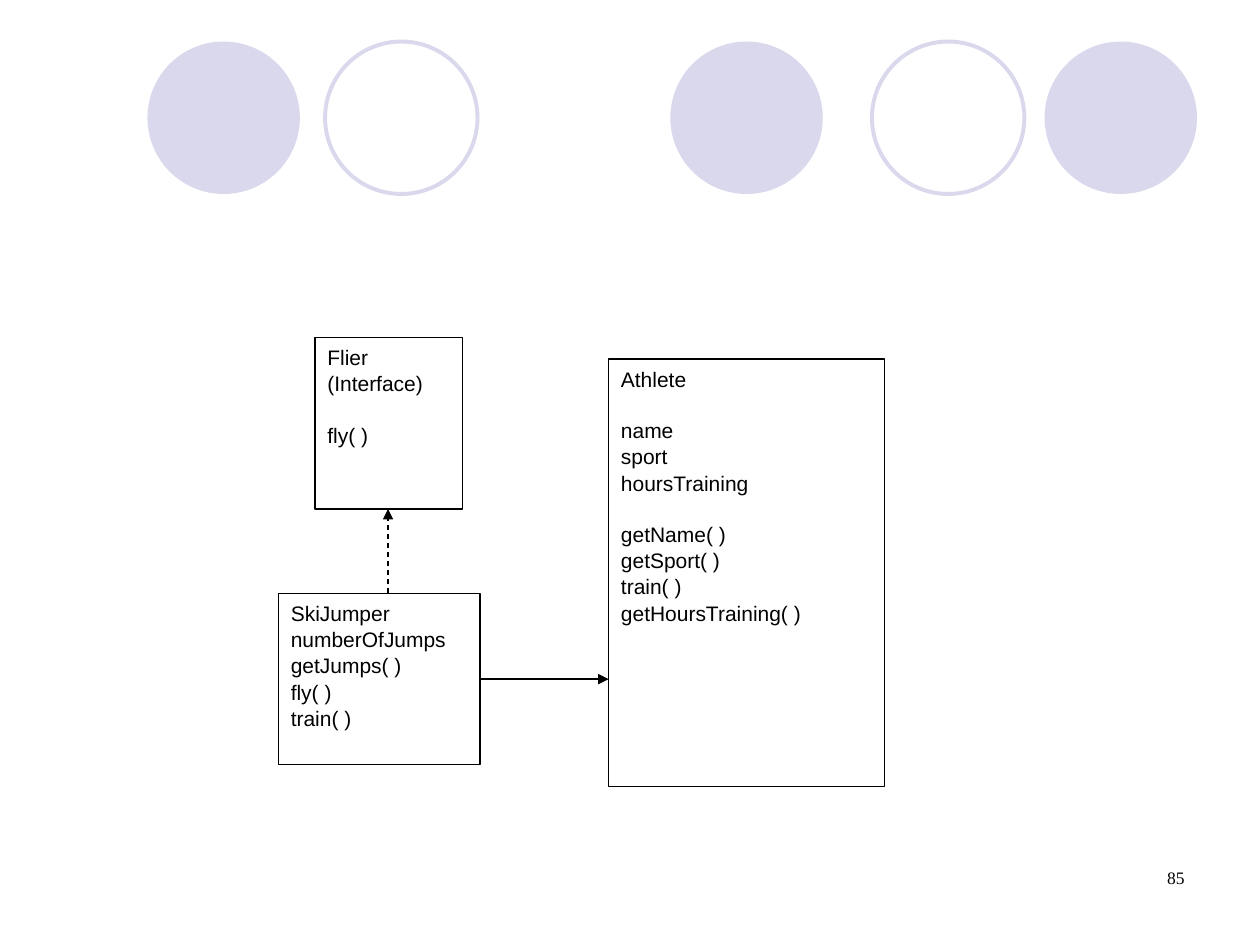
from lxml.etree import SubElement
from pptx import Presentation
from pptx.dml.color import RGBColor
from pptx.enum.dml import MSO_LINE
from pptx.enum.shapes import MSO_CONNECTOR, MSO_SHAPE
from pptx.enum.text import MSO_ANCHOR, PP_ALIGN
from pptx.oxml.ns import qn
from pptx.util import Inches, Pt

LAVENDER = "D9D8EC"
BLACK = "000000"
WHITE = "FFFFFF"


def paint(color_format, value):
    """Give a fill, line or font the colour of a hex string."""
    color_format.rgb = RGBColor.from_string(value)


def add_outline(page, preset, left, top, width, height, fill=None, line=None, weight=0.75):
    """Add a preset shape with an optional fill and line."""
    shape = page.shapes.add_shape(
        preset, Inches(left), Inches(top), Inches(width), Inches(height))
    shape.shadow.inherit = False
    if fill:
        shape.fill.solid()
        paint(shape.fill.fore_color, fill)
    else:
        shape.fill.background()
    if line:
        paint(shape.line.color, line)
        shape.line.width = Pt(weight)
    else:
        shape.line.fill.background()
    return shape


def style_paragraph(para, font, size, align):
    """Set the alignment and font of a paragraph."""
    para.alignment = align
    for span in para.runs:
        span.font.name = font
        span.font.size = Pt(size)
        paint(span.font.color, BLACK)


def add_circle_band(page, left, top, diameter):
    """Draw the row of solid and hollow circles along the top."""
    for offset in (0, 4.15, 7.12):
        add_outline(page, MSO_SHAPE.OVAL, left + offset, top, diameter, diameter, fill=LAVENDER)
    for offset in (1.41, 5.75):
        add_outline(page, MSO_SHAPE.OVAL, left + offset, top, diameter, diameter,
                    line=LAVENDER, weight=2.25)


def add_class_box(page, left, top, width, height, *groups):
    """Draw a class box whose groups of lines are set one line apart."""
    box = add_outline(page, MSO_SHAPE.RECTANGLE, left, top, width, height, WHITE, BLACK)
    frame = box.text_frame
    frame.word_wrap = True
    frame.vertical_anchor = MSO_ANCHOR.TOP
    frame.text = "\n".join(line for group in groups for line in group)
    paragraphs = iter(frame.paragraphs)
    for number, group in enumerate(groups):
        for position, _ in enumerate(group):
            para = next(paragraphs)
            style_paragraph(para, "Arial", 12, PP_ALIGN.LEFT)
            para.line_spacing = 1.04
            if number and not position:
                para.space_before = Pt(14.4)


def add_arrow(page, start, end, dashed=False):
    """Draw a thin line with a triangle at its end."""
    arrow = page.shapes.add_connector(
        MSO_CONNECTOR.STRAIGHT, *(Inches(value) for value in (*start, *end)))
    paint(arrow.line.color, BLACK)
    arrow.line.width = Pt(0.75)
    if dashed:
        arrow.line.dash_style = MSO_LINE.DASH
    SubElement(arrow.line._get_or_add_ln(), qn("a:tailEnd"), type="triangle")
    SubElement(arrow._element.spPr, qn("a:effectLst"))


def add_class_diagram(page, left, top):
    """Draw the three classes and the arrows between them."""
    add_class_box(page, left + 0.29, top, 1.17, 1.36, ["Flier (Interface)"], ["fly( )"])
    add_class_box(page, left + 2.62, top + 0.17, 2.19, 3.39,
                  ["Athlete"], ["name", "sport", "hoursTraining"],
                  ["getName( )", "getSport( )", "train( )", "getHoursTraining( )"])
    add_class_box(page, left, top + 2.03, 1.6, 1.36,
                  ["SkiJumper", "numberOfJumps", "getJumps( )", "fly( )", "train( )"])
    add_arrow(page, (left + 1.6, top + 2.71), (left + 2.62, top + 2.71))
    add_arrow(page, (left + 0.87, top + 2.03), (left + 0.87, top + 1.36), dashed=True)


def add_page_number(page, left, top, width, height, number):
    """Place the page number at the right of its box."""
    box = page.shapes.add_textbox(Inches(left), Inches(top), Inches(width), Inches(height))
    box.text_frame.word_wrap = True
    box.text_frame.text = number
    style_paragraph(box.text_frame.paragraphs[0], "Times New Roman", 10, PP_ALIGN.RIGHT)


def main():
    """Build the slide and save the deck."""
    deck = Presentation()
    deck.slide_width, deck.slide_height = Inches(10), Inches(7.5)
    page = deck.slides.add_slide(deck.slide_layouts[6])
    add_circle_band(page, 1.17, 0.33, 1.21)
    add_class_diagram(page, 2.21, 2.68)
    add_page_number(page, 7.17, 6.83, 2.33, 0.5, "85")
    deck.save("out.pptx")


if __name__ == "__main__":
    main()
